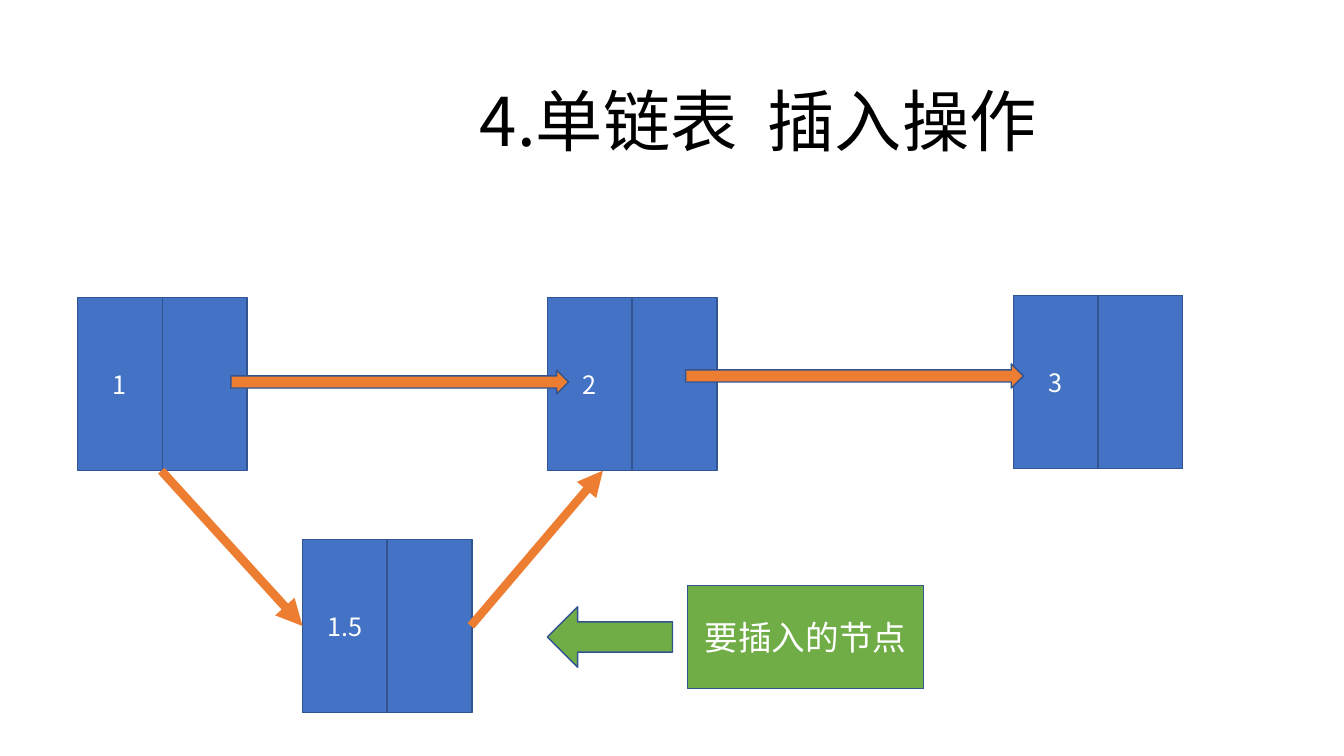
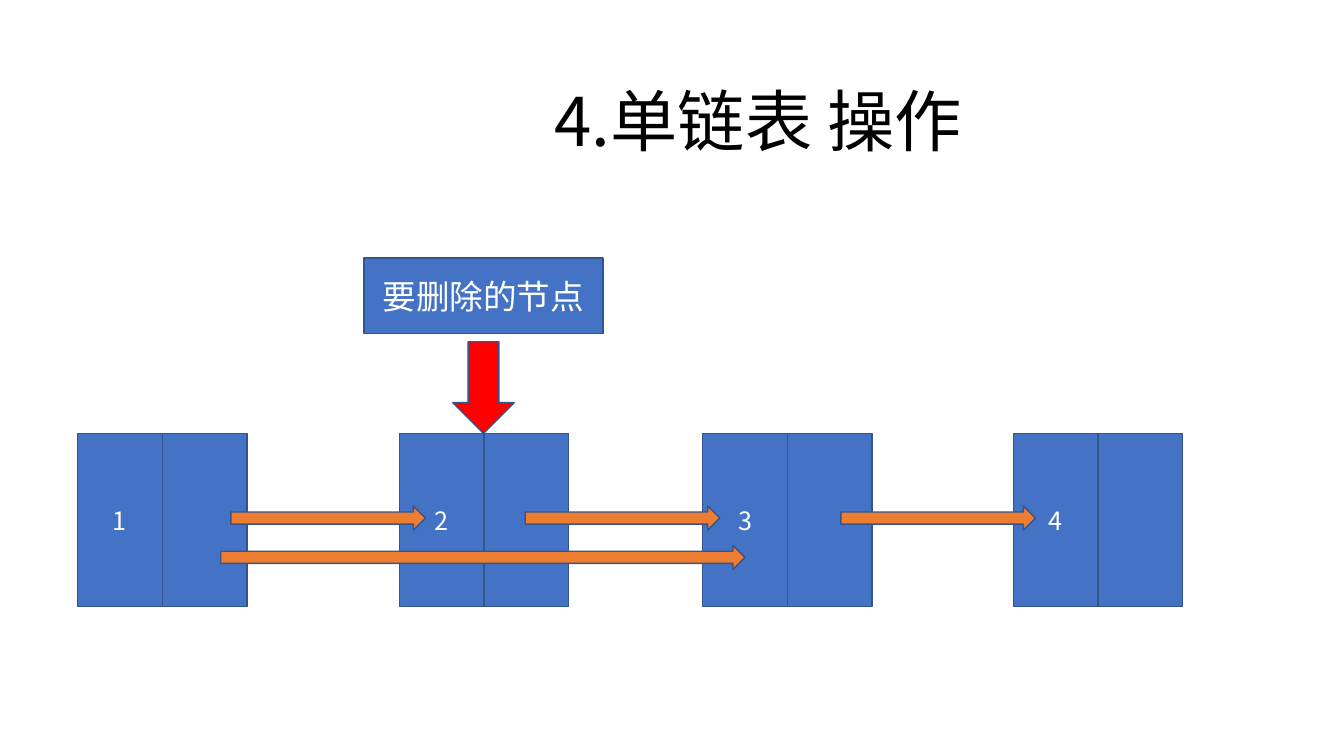
from dataclasses import dataclass
from typing import NamedTuple

from pptx import Presentation
from pptx.dml.color import RGBColor as Rgb
from pptx.enum.shapes import MSO_CONNECTOR as Link, MSO_SHAPE as Kind
from pptx.enum.text import MSO_ANCHOR as Anchor, MSO_AUTO_SIZE as Fit, PP_ALIGN as Align
from pptx.oxml.ns import qn
from pptx.util import Inches, Pt


# Theme shared by both slides
@dataclass(frozen=True)
class Theme:
    font: str = "Noto Sans CJK SC"
    ink: str = "000000"
    white: str = "FFFFFF"
    blue: str = "4472C4"
    edge: str = "325491"
    orange: str = "ED7D31"
    green: str = "70AD47"
    red: str = "FF0000"
    title: float = 48
    label: float = 24
    node: float = 18
    rule: float = 1


T = Theme()
CELL_W, CELL_H = 0.84, 1.72  # half of a list node
ARROW_H = 0.24  # thick arrow between nodes


# Repeated elements
class Box(NamedTuple):
    x: float
    y: float
    w: float
    h: float


class Node(NamedTuple):
    text: str
    x: float
    y: float


class Next(NamedTuple):
    x: float
    y: float
    w: float


class Line(NamedTuple):
    start: tuple[float, float]
    end: tuple[float, float]
    width: float


class Block(NamedTuple):
    kind: Kind
    box: Box
    fill: str
    text: str = ""


@dataclass(frozen=True)
class Page:
    title: str
    nodes: list[Node]
    nexts: list[Next]
    blocks: list[Block]
    lines: tuple[Line, ...] = ()


def write(frame, text: str, size: float, color: str, **format) -> None:
    """Put one centred line of text in a frame."""
    for name, value in ({"word_wrap": True} | format).items():
        setattr(frame, name, value)
    para = frame.paragraphs[0]
    para.alignment = Align.CENTER
    run = para.add_run()
    run.text = text
    for name, value in {"name": T.font, "size": Pt(size)}.items():
        setattr(run.font, name, value)
    run.font.color.rgb = Rgb.from_string(color)
    asian = run.font._element.makeelement(qn("a:ea"), {"typeface": T.font})
    run.font._element.append(asian)


def draw_shape(slide, block: Block, size: float = T.label) -> None:
    shape = slide.shapes.add_shape(block.kind, *map(Inches, block.box))
    shape.shadow.inherit = False
    shape.fill.solid()
    shape.fill.fore_color.rgb = Rgb.from_string(block.fill)
    shape.line.color.rgb = Rgb.from_string(T.edge)
    shape.line.width = Pt(T.rule)
    if block.text:
        write(shape.text_frame, block.text, size, T.white,
              vertical_anchor=Anchor.MIDDLE)


def draw_node(slide, node: Node) -> None:
    """Draw the value cell and the pointer cell side by side."""
    for col, text in enumerate((node.text, "")):
        box = Box(node.x + col * CELL_W, node.y, CELL_W, CELL_H)
        draw_shape(slide, Block(Kind.RECTANGLE, box, T.blue, text), T.node)


def draw_line(slide, line: Line) -> None:
    link = slide.shapes.add_connector(
        Link.STRAIGHT, *map(Inches, line.start + line.end))
    link.line.color.rgb = Rgb.from_string(T.orange)
    link.line.width = Pt(line.width)
    stroke = link.line._get_or_add_ln()
    stroke.append(stroke.makeelement(qn("a:tailEnd"), {"type": "triangle"}))
    props = link._element.spPr
    props.append(props.makeelement(qn("a:effectLst"), {}))


def draw_page(deck, page: Page) -> None:
    slide = deck.slides.add_slide(deck.slide_layouts[6])
    title = slide.shapes.add_textbox(*map(Inches, Box(3.1, 0.74, 8.84, 0.91)))
    write(title.text_frame, page.title, T.title, T.ink,
          auto_size=Fit.SHAPE_TO_FIT_TEXT)
    for node in page.nodes:
        draw_node(slide, node)
    for item in page.nexts:
        box = Box(item.x, item.y, item.w, ARROW_H)
        draw_shape(slide, Block(Kind.RIGHT_ARROW, box, T.orange))
    for line in page.lines:
        draw_line(slide, line)
    for block in page.blocks:
        draw_shape(slide, block)


# Slide content
INSERT = Page(
    title="4.单链表  插入操作",
    nodes=[Node("1", 0.77, 2.95), Node("2", 5.43, 2.95),
           Node("3", 10.05, 2.93), Node("1.5", 3, 5.35)],
    nexts=[Next(2.29, 3.67, 3.35), Next(6.8, 3.61, 3.35)],
    blocks=[
        Block(Kind.LEFT_ARROW, Box(5.43, 6.02, 1.24, 0.6), T.green),
        Block(Kind.RECTANGLE, Box(6.82, 5.81, 2.34, 1.02), T.green,
              "要插入的节点"),
    ],
    lines=(Line((1.6, 4.67), (3, 6.21), 6.25),
           Line((4.67, 6.21), (5.98, 4.67), 6)),
)

ROW = 4.3
DELETE = Page(
    title="4.单链表 操作",
    nodes=[Node(str(num), x, ROW)
           for num, x in enumerate((0.77, 3.96, 6.97, 10.05), 1)],
    nexts=[*(Next(x, 5.02, 1.93) for x in (2.29, 5.21, 8.34)),
           Next(2.19, 5.41, 5.2)],
    blocks=[
        Block(Kind.DOWN_ARROW, Box(4.49, 3.39, 0.61, 0.91), T.red),
        Block(Kind.RECTANGLE, Box(3.61, 2.56, 2.37, 0.75), T.blue,
              "要删除的节点"),
    ],
)


def main() -> None:
    deck = Presentation()
    deck.slide_width, deck.slide_height = Inches(13.33), Inches(7.5)
    for page in (INSERT, DELETE):
        draw_page(deck, page)
    deck.save("out.pptx")


if __name__ == "__main__":
    main()
